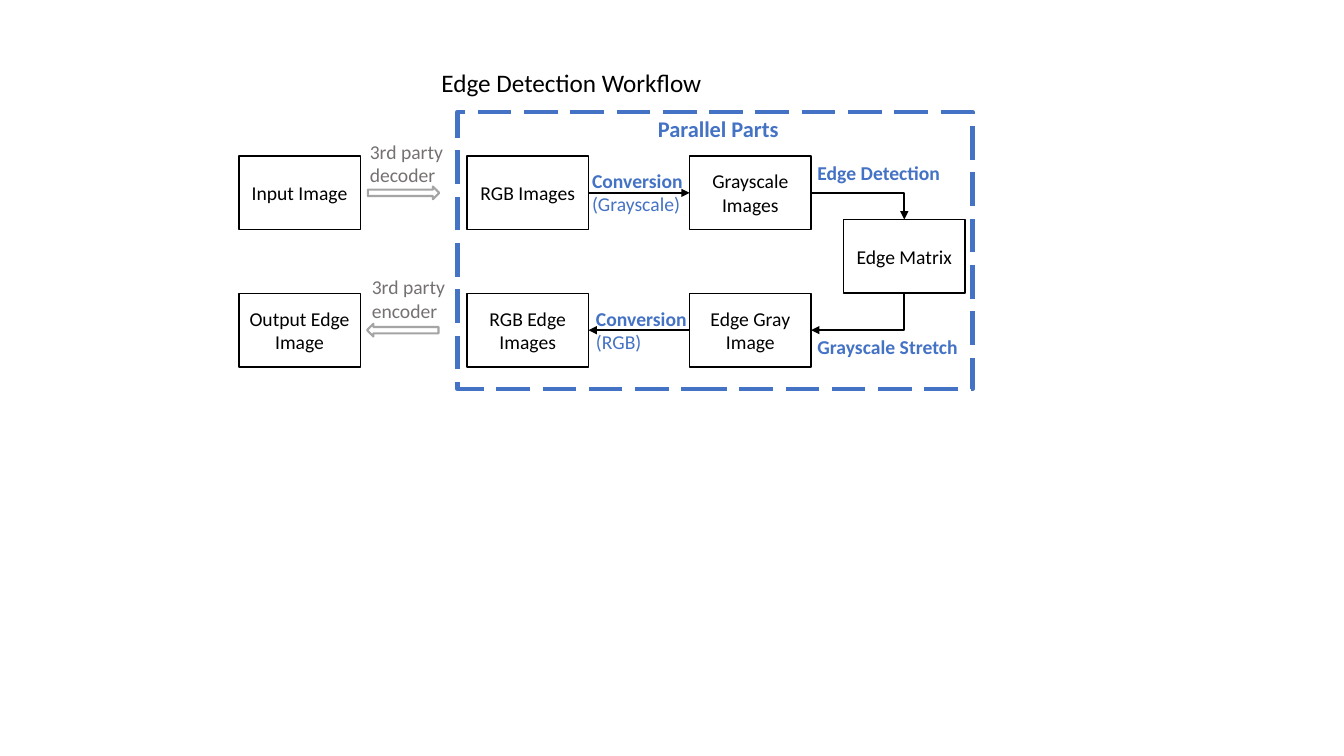
"""Build the edge detection workflow slide."""
import pptx
import pptx.dml.color
import pptx.enum.dml
import pptx.enum.shapes
import pptx.enum.text
import pptx.oxml
import pptx.oxml.ns
import pptx.util

Cm, Pt = pptx.util.Cm, pptx.util.Pt
RGB = pptx.dml.color.RGBColor.from_string
SHAPE = pptx.enum.shapes.MSO_SHAPE
CONNECTOR = pptx.enum.shapes.MSO_CONNECTOR
ALIGN = pptx.enum.text.PP_ALIGN
ANCHOR = pptx.enum.text.MSO_ANCHOR
qn = pptx.oxml.ns.qn

THEME = {
    "font": "Calibri",
    "ink": RGB("000000"), "paper": RGB("FFFFFF"), "accent": RGB("4472C4"),
    "muted": RGB("767171"), "arrow": RGB("A5A5A5"),
    "title": Pt(18), "heading": Pt(16), "body": Pt(14),
}


def write(sp, lines, color, size="body", align=ALIGN.LEFT, anchor=ANCHOR.TOP):
    """Fill a shape with (text, bold) lines."""
    tf = sp.text_frame
    frame_format = {"word_wrap": True, "vertical_anchor": anchor,
                    "auto_size": pptx.enum.text.MSO_AUTO_SIZE.NONE}
    for name, value in frame_format.items():
        setattr(tf, name, value)
    for i, (text, bold) in enumerate(lines):
        p = tf.add_paragraph() if i else tf.paragraphs[0]
        p.alignment = align
        r = p.add_run()
        r.text = text
        r.font.color.rgb = THEME[color]
        font_format = {"name": THEME["font"], "size": THEME[size], "bold": bold}
        for name, value in font_format.items():
            setattr(r.font, name, value)


def add_shape(kind, x, y, w, h, line, width, fill="paper"):
    """Add an outlined preset shape."""
    sp = s.shapes.add_shape(kind, Cm(x), Cm(y), Cm(w), Cm(h))
    sp.shadow.inherit = False
    if fill:
        sp.fill.solid()
        sp.fill.fore_color.rgb = THEME[fill]
    else:
        sp.fill.background()
    sp.line.color.rgb = THEME[line]
    sp.line.width = Pt(width)
    return sp


prs = pptx.Presentation()
prs.slide_width, prs.slide_height = Cm(33.87), Cm(19.05)
s = prs.slides.add_slide(prs.slide_layouts[5])

title = s.shapes.title
place = {"left": Cm(10.87), "top": Cm(1.57), "width": Cm(7.14), "height": Cm(1.02)}
for name, value in place.items():
    setattr(title, name, value)
write(title, [("Edge Detection Workflow", False)], "ink", "title")

BOX_W, BOX_H = 3.06, 1.86
FILE_X, RGB_X, GRAY_X, MATRIX_X = 6.02, 11.77, 17.38, 21.26
TOP_Y, MATRIX_Y = 3.93, 5.53
BOTTOM_Y = MATRIX_Y + BOX_H

steps = [
    ("Input Image", FILE_X, TOP_Y),
    ("RGB Images", RGB_X, TOP_Y),
    ("Grayscale Images", GRAY_X, TOP_Y),
    ("Edge Matrix", MATRIX_X, MATRIX_Y),
    ("Edge Gray Image", GRAY_X, BOTTOM_Y),
    ("RGB Edge Images", RGB_X, BOTTOM_Y),
    ("Output Edge Image", FILE_X, BOTTOM_Y),
]
boxes = {}
for text, x, y in steps:
    boxes[text] = add_shape(SHAPE.RECTANGLE, x, y, BOX_W, BOX_H, "ink", 1)
    write(boxes[text], [(text, False)], "ink", align=ALIGN.CENTER, anchor=ANCHOR.MIDDLE)

connectors = []
for start, start_side, end, end_side in [
    ("RGB Images", 3, "Grayscale Images", 1),
    ("Edge Gray Image", 1, "RGB Edge Images", 3),
]:
    c = s.shapes.add_connector(CONNECTOR.STRAIGHT, 0, 0, 0, 0)
    c.begin_connect(boxes[start], start_side)
    c.end_connect(boxes[end], end_side)
    connectors.append(c)

gray_right, matrix_mid = GRAY_X + BOX_W, MATRIX_X + BOX_W / 2
run = matrix_mid - gray_right
for y1, y2, turn in [(TOP_Y + BOX_H / 2, MATRIX_Y, 0),
                     (BOTTOM_Y, BOTTOM_Y + BOX_H / 2, 90)]:
    w, h = (y2 - y1, run) if turn else (run, y2 - y1)
    x, y = (gray_right + matrix_mid - w) / 2, (y1 + y2 - h) / 2
    c = s.shapes.add_connector(CONNECTOR.ELBOW, Cm(x), Cm(y), Cm(x + w), Cm(y + h))
    spPr = c.element.spPr
    spPr.find(qn("a:prstGeom")).set("prst", "bentConnector2")
    if turn:
        spPr.find(qn("a:xfrm")).set("rot", str(turn * 60000))
    connectors.append(c)

for c in connectors:
    c.line.color.rgb = THEME["ink"]
    c.line.width = Pt(1.5)
    ln = c.line._get_or_add_ln()
    ln.append(pptx.oxml.parse_xml(f'<a:tailEnd {pptx.oxml.ns.nsdecls("a")} type="triangle"/>'))
    c.element.spPr.append(pptx.oxml.parse_xml(f'<a:effectLst {pptx.oxml.ns.nsdecls("a")}/>'))

for x, y, turn in [(9.27, 4.7, 0), (9.25, 8.16, 180)]:
    arrow = add_shape(SHAPE.RIGHT_ARROW, x, y, 1.8, 0.32, "arrow", 1.5)
    arrow.rotation = turn

frame = add_shape(SHAPE.RECTANGLE, 11.53, 2.82, 12.98, 6.99, "accent", 3, fill=None)
frame.line.dash_style = pptx.enum.dml.MSO_LINE.LONG_DASH

labels = [
    (9.07, 3.4, 5.84, [("3rd party", False), ("decoder", False)], "muted", "body"),
    (9.12, 6.81, 5.84, [("3rd party", False), ("encoder", False)], "muted", "body"),
    (20.35, 8.31, 5.84, [("Grayscale Stretch", True)], "accent", "body"),
    (20.35, 3.93, 5.84, [("Edge Detection", True)], "accent", "body"),
    (14.67, 4.13, 2.9, [("Conversion", True), ("(Grayscale)", False)], "accent", "body"),
    (14.77, 7.6, 2.9, [("Conversion", True), ("(RGB)", False)], "accent", "body"),
    (16.33, 2.77, 5.84, [("Parallel Parts", True)], "accent", "heading"),
]
for x, y, w, lines, color, size in labels:
    sp = s.shapes.add_textbox(Cm(x), Cm(y), Cm(w), Cm(0.26 + 0.6 * len(lines)))
    write(sp, lines, color, size)

prs.save("out.pptx")
